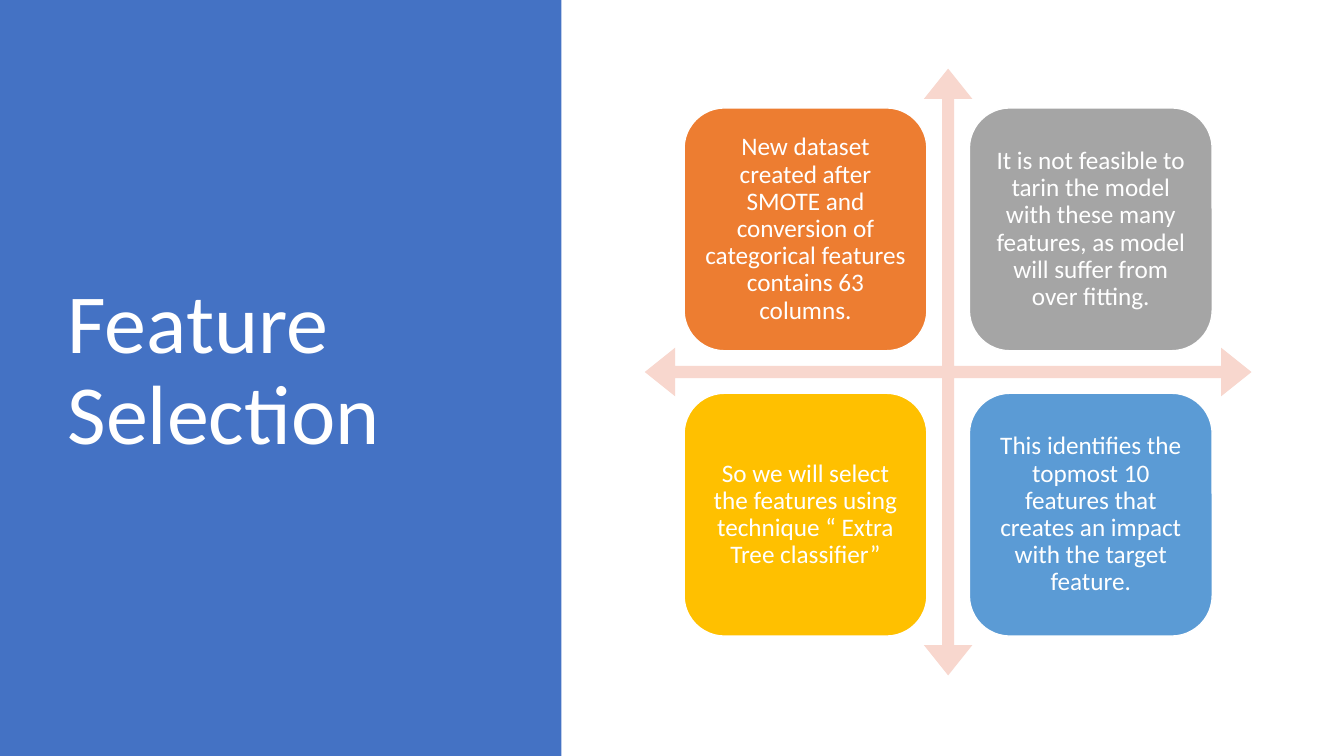
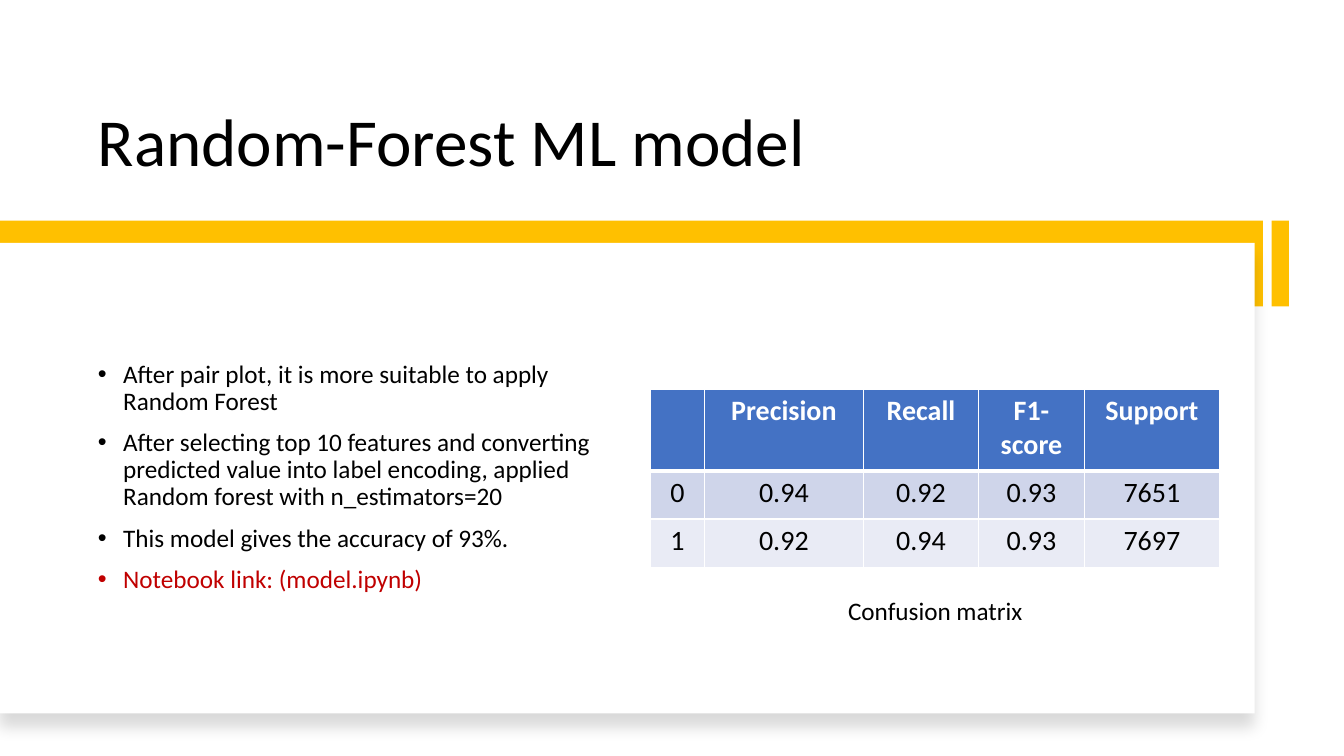
from lxml import etree
from pptx import Presentation
from pptx.dml.color import RGBColor
from pptx.enum.shapes import MSO_SHAPE as SHAPE
from pptx.enum.text import MSO_ANCHOR as ANCHOR, MSO_AUTO_SIZE as AUTO, PP_ALIGN as ALIGN
from pptx.oxml import parse_xml
from pptx.oxml.ns import nsdecls, qn
from pptx.util import Cm, Pt

FONT = "Calibri"
WHITE = RGBColor(0xFF, 0xFF, 0xFF)
BLACK = RGBColor(0x00, 0x00, 0x00)
BLUE = RGBColor(0x44, 0x72, 0xC4)
ORANGE = RGBColor(0xED, 0x7D, 0x31)
GREY = RGBColor(0xA5, 0xA5, 0xA5)
GOLD = RGBColor(0xFF, 0xC0, 0x00)
SKY = RGBColor(0x5B, 0x9B, 0xD5)
PINK = RGBColor(0xF8, 0xD7, 0xCE)
RED = RGBColor(0xC0, 0x00, 0x00)
ROW_DARK = RGBColor(0xCF, 0xD5, 0xEA)
ROW_LIGHT = RGBColor(0xE9, 0xEB, 0xF5)


def add_block(slide, kind, left, top, width, height, fill):
    """Add a flat, borderless shape; measures are in centimetres."""
    block = slide.shapes.add_shape(kind, Cm(left), Cm(top), Cm(width), Cm(height))
    block.shadow.inherit = False
    block.fill.solid()
    block.fill.fore_color.rgb = fill
    block.line.fill.background()
    return block


def set_text(shape, box, lines, size, colour, align, anchor, spacing=0.9):
    """Place a shape (box in centimetres) and write one paragraph per line."""
    if box:
        shape.left, shape.top, shape.width, shape.height = [Cm(v) for v in box]
    frame = shape.text_frame
    frame.word_wrap = True
    frame.auto_size = AUTO.NONE
    frame.vertical_anchor = anchor
    frame.text = "\n".join(lines)
    for paragraph in frame.paragraphs:
        paragraph.alignment = align
        paragraph.line_spacing = spacing
        paragraph.space_before = Pt(0)
        paragraph.font.name = FONT
        paragraph.font.size = Pt(size)
        paragraph.font.color.rgb = colour
    return frame


prs = Presentation()
prs.slide_width, prs.slide_height = Cm(33.87), Cm(19.05)
content_layout, title_layout = prs.slide_layouts[1], prs.slide_layouts[5]

# Slide 1: feature selection
selection = prs.slides.add_slide(title_layout)
side_panel = add_block(selection, SHAPE.RECTANGLE, 0, 0, 14.15, 19.05, BLUE)
selection.shapes._spTree.insert(2, side_panel._element)
set_text(selection.shapes.title, (1.45, 1.73, 10.57, 15.29), ["Feature Selection"],
         60, WHITE, ALIGN.LEFT, ANCHOR.MIDDLE)

# Cross of arrows with four tiles
cross = add_block(selection, SHAPE.QUAD_ARROW, 16.25, 1.73, 15.29, 15.29, PINK)
for index, share in enumerate((0.02, 0.04, 0.05)):
    cross.adjustments[index] = share

TILE, TILE_STEP = 6.12, 7.19
tiles = [
    ("New dataset created after SMOTE and conversion of categorical features "
     "contains 63 columns.", ORANGE),
    ("It is not feasible to tarin the model with these many features, as model "
     "will suffer from over fitting.", GREY),
    ("So we will select the features using technique “ Extra Tree classifier”", GOLD),
    ("This identifies the topmost 10 features that creates an impact with the "
     "target feature.", SKY),
]
for index, (statement, fill) in enumerate(tiles):
    row, column = divmod(index, 2)
    tile = add_block(selection, SHAPE.ROUNDED_RECTANGLE, 17.24 + column * TILE_STEP,
                     2.72 + row * TILE_STEP, TILE, TILE, fill)
    tile.line.color.rgb = WHITE
    tile.line.width = Pt(1)
    frame = set_text(tile, None, [statement], 18, WHITE, ALIGN.CENTER, ANCHOR.MIDDLE)
    frame.margin_left = frame.margin_right = Cm(0.18)
    frame.margin_top = frame.margin_bottom = Cm(0.18)

# Slide 2: random forest results
forest = prs.slides.add_slide(content_layout)
set_text(forest.shapes.title, (2.21, 1.07, 27.97, 3.61), ["Random-Forest ML model"],
         48, BLACK, ALIGN.LEFT, ANCHOR.BOTTOM)

# Gold band and white card, behind the text
band = add_block(forest, SHAPE.RECTANGLE, 0, 5.56, 31.83, 2.16, GOLD)
card = add_block(forest, SHAPE.RECTANGLE, 0, 6.12, 31.62, 11.86, WHITE)
band_end = add_block(forest, SHAPE.RECTANGLE, 32.05, 5.56, 0.43, 2.16, GOLD)
for position, backdrop in enumerate((band, card, band_end), start=2):
    forest.shapes._spTree.insert(position, backdrop._element)
card._element.spPr.find(qn("a:effectLst")).append(parse_xml(
    f'<a:outerShdw {nsdecls("a")} blurRad="{Pt(11)}" dist="{Pt(10)}" dir="5400000" '
    'algn="t" rotWithShape="0"><a:srgbClr val="000000"><a:alpha val="15000"/>'
    '</a:srgbClr></a:outerShdw>'))

# Findings
findings = set_text(forest.placeholders[1], (2.21, 7.21, 13.77, 9.65), [
    "After pair plot, it is more suitable to apply Random Forest",
    "After selecting top 10 features and converting predicted value into label "
    "encoding, applied Random forest with n_estimators=20",
    "This model gives the accuracy of 93%.",
    "Notebook link: (model.ipynb)",
], 18, BLACK, ALIGN.LEFT, ANCHOR.MIDDLE)
for index, finding in enumerate(findings.paragraphs):
    properties = finding._p.get_or_add_pPr()
    properties.set("marL", str(Cm(0.64)))
    properties.set("indent", str(-Cm(0.64)))
    if index:
        finding.space_before = Pt(10)
notebook = findings.paragraphs[-1]
notebook.font.color.rgb = RED
notebook.runs[0].font.color.rgb = RED

# Score table
scores = [
    ("", "Precision", "Recall", "F1-score", "Support"),
    ("0", "0.94", "0.92", "0.93", "7651"),
    ("1", "0.92", "0.94", "0.93", "7697"),
]
column_widths = (1.35, 4.01, 2.9, 2.67, 3.4)
row_heights = (2.06, 1.22, 1.22)
row_fills = (BLUE, ROW_DARK, ROW_LIGHT)
table = forest.shapes.add_table(3, 5, Cm(16.4), Cm(9.8), Cm(sum(column_widths)),
                                Cm(sum(row_heights))).table
for column, width in zip(table.columns, column_widths):
    column.width = Cm(width)
for r, values in enumerate(scores):
    table.rows[r].height = Cm(row_heights[r])
    for c, value in enumerate(values):
        cell = table.cell(r, c)
        borders = cell._tc.get_or_add_tcPr()
        for side in ("lnL", "lnR", "lnT", "lnB"):
            under_header = (r, side) in ((0, "lnB"), (1, "lnT"))
            edge = etree.SubElement(borders, qn(f"a:{side}"),
                                    w=str(Pt(3 if under_header else 1)))
            edge_fill = etree.SubElement(edge, qn("a:solidFill"))
            etree.SubElement(edge_fill, qn("a:srgbClr"), val=str(WHITE))
        cell.fill.solid()
        cell.fill.fore_color.rgb = row_fills[r]
        cell.text = value
        entry = cell.text_frame.paragraphs[0]
        entry.alignment = ALIGN.CENTER
        entry.font.name = FONT
        entry.font.size = Pt(20)
        entry.font.bold = r == 0
        entry.font.color.rgb = BLACK if r else WHITE

# Table caption
caption = forest.shapes.add_textbox(0, 0, 0, 0)
set_text(caption, (18.72, 14.88, 9.7, 1.8), ["Confusion matrix"],
         18, BLACK, ALIGN.CENTER, ANCHOR.TOP, spacing=1.0)

prs.save("out.pptx")
